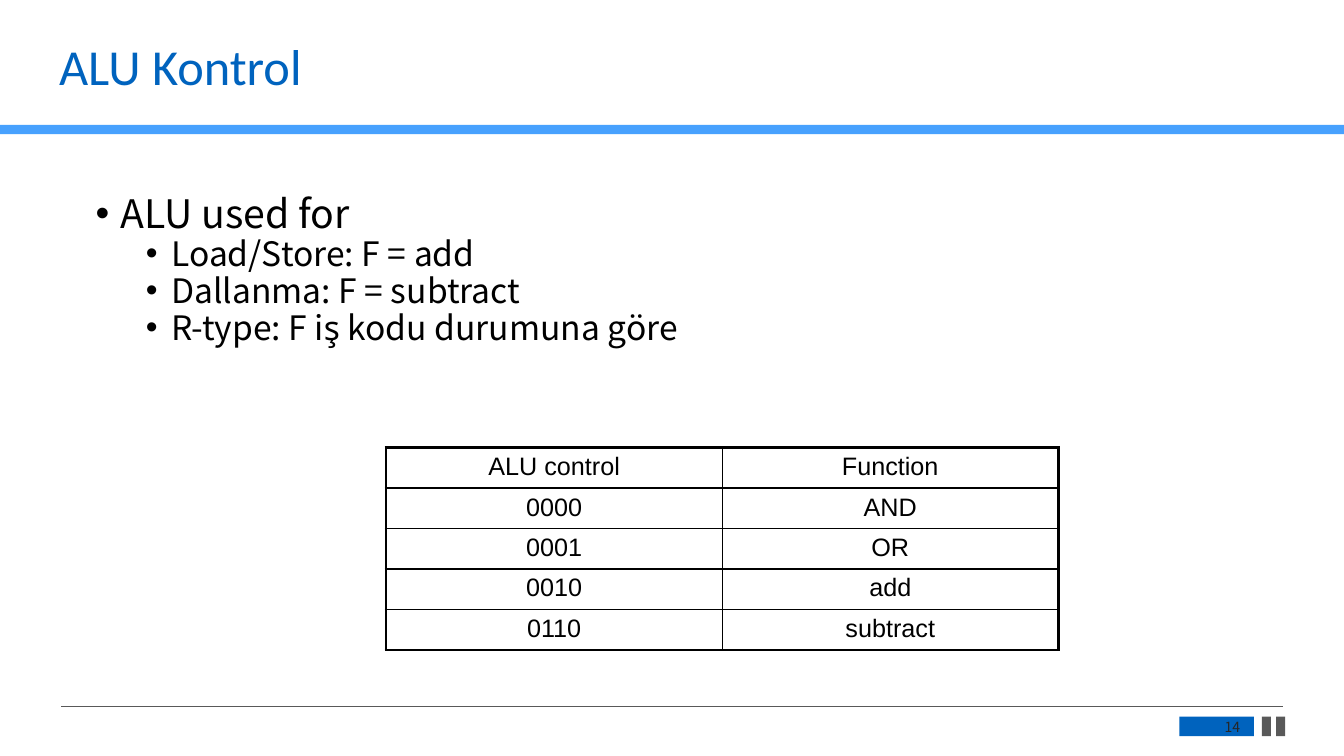
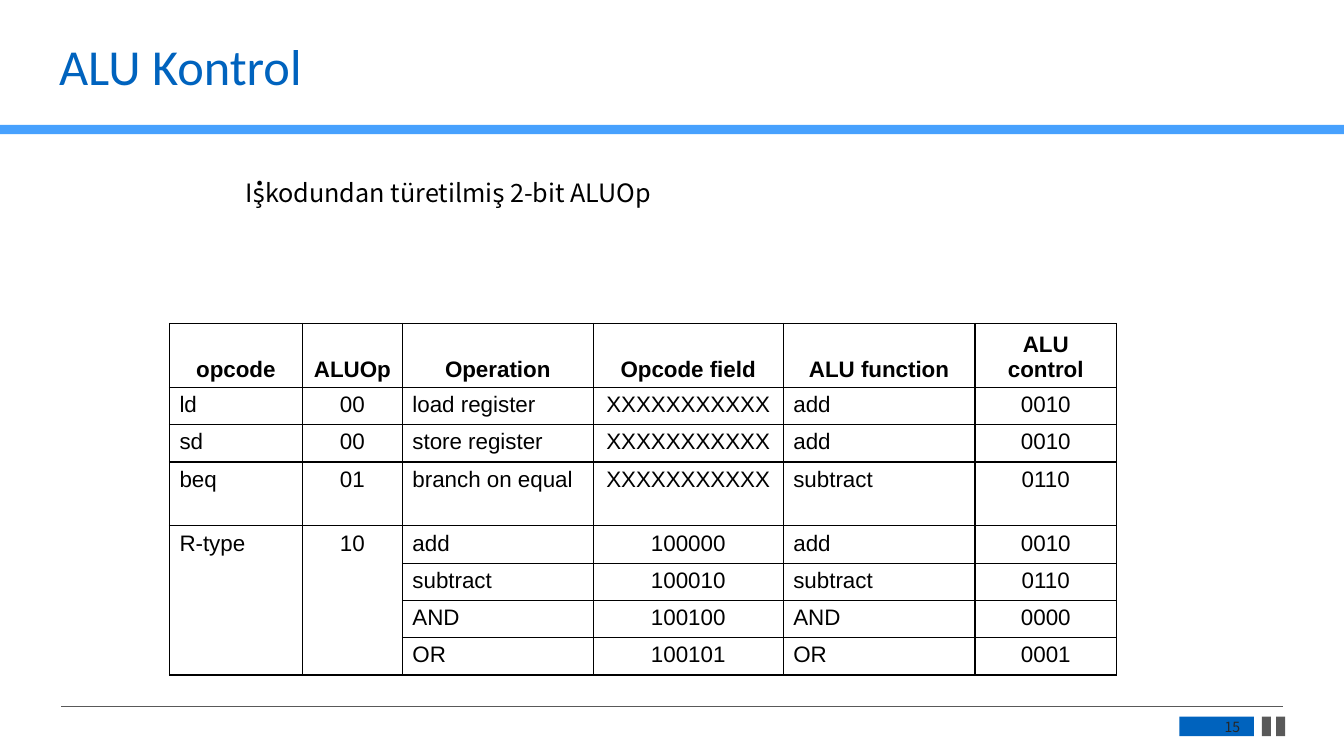
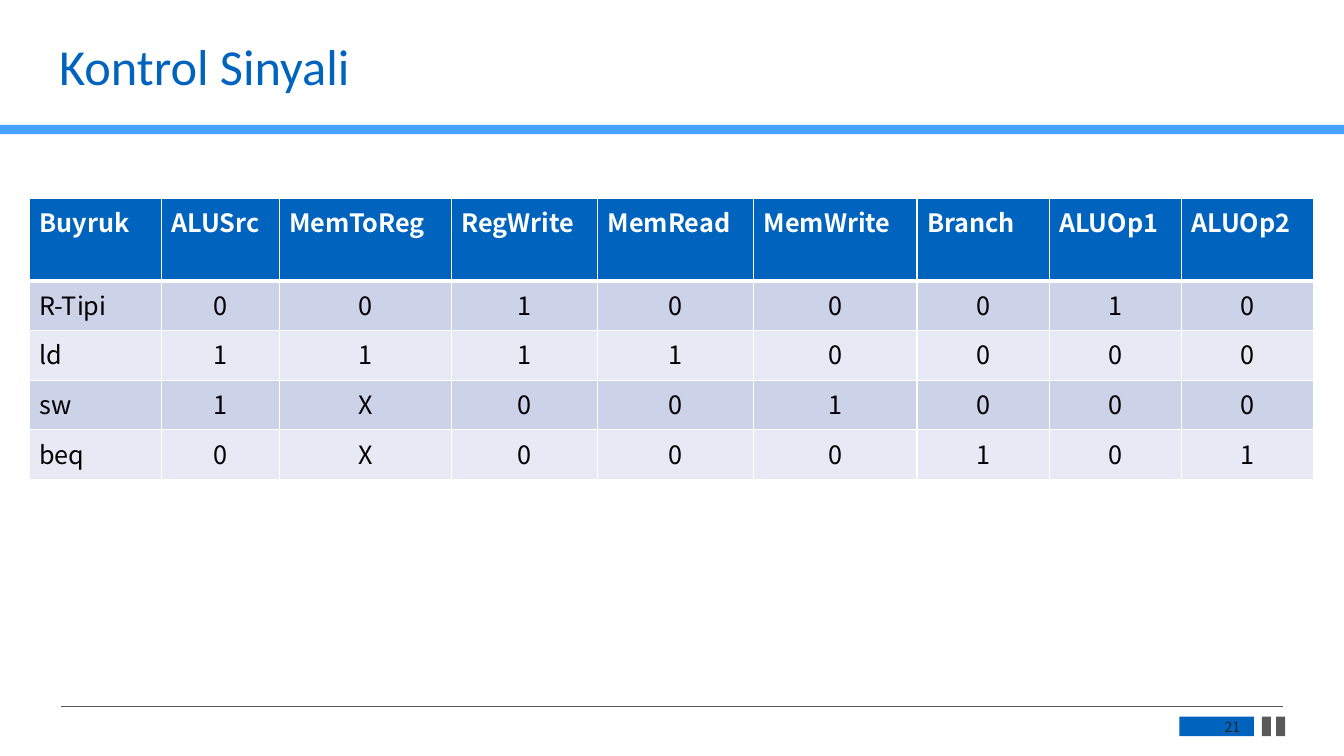
from pptx import Presentation
from pptx.dml.color import RGBColor
from pptx.enum.shapes import MSO_CONNECTOR, MSO_SHAPE
from pptx.enum.text import MSO_ANCHOR, PP_ALIGN
from pptx.oxml.ns import qn
from pptx.util import Cm, Pt
from lxml import etree

RECT, LINE = MSO_SHAPE.RECTANGLE, MSO_CONNECTOR.STRAIGHT
TOP, MID, LOW = MSO_ANCHOR.TOP, MSO_ANCHOR.MIDDLE, MSO_ANCHOR.BOTTOM
ALIGN = {"l": PP_ALIGN.LEFT, "c": PP_ALIGN.CENTER, "r": PP_ALIGN.RIGHT}

# Shared look
BLUE, SKY, GRAY, INK = "0063BE", "47A1FE", "595959", "262626"
BLACK, WHITE = "000000", "FFFFFF"
BANDS = ["CCD3E8", "E7EAF4"]
SANS, HEAD, BODY = "Arial", "Calibri", "Noto Sans CJK SC"
WIDTH, HEIGHT = 33.87, 19.05
BARS = [  # left, top, width, height in cm, colour
    (0, 3.15, WIDTH, 0.23, SKY),
    (29.72, 18.06, 1.88, 0.49, BLUE),
    (31.8, 18.06, 0.23, 0.49, GRAY),
    (32.16, 18.06, 0.23, 0.49, GRAY),
]
RULE = (1.54, 17.8, 32.33, 17.8)

# Content: bullets are (level, text)
USES = [
    (0, "ALU used for"),
    (1, "Load/Store: F = add"),
    (1, "Dallanma: F = subtract"),
    (1, "R-type: F iş kodu durumuna göre"),
]
NOTE = "İşkodundan türetilmiş 2-bit ALUOp"

CODES = dict(
    at=(9.73, 11.28), cols=[8.47] * 2, rows=[1.02] * 5,
    font=SANS, size=18, align="cc", top="cc", edge=2.25, under=1.5,
    data=[
        ("ALU control", "Function"),
        ("0000", "AND"),
        ("0001", "OR"),
        ("0010", "add"),
        ("0110", "subtract"),
    ])
OPS = dict(
    at=(4.27, 8.15), cols=[3.35, 2.52, 4.81, 4.79, 4.83, 3.57],
    rows=[1.61, 0.94, 0.94, 1.61] + [0.94] * 4,
    font=SANS, size=16, align="lclclc", top="cccccc", bold=True, anchor=LOW,
    merge=[(4, 0, 7, 0), (4, 1, 7, 1)],
    data=[
        ("opcode", "ALUOp", "Operation", "Opcode field", "ALU function", "ALU control"),
        ("ld", "00", "load register", "XXXXXXXXXXX", "add", "0010"),
        ("sd", "00", "store register", "XXXXXXXXXXX", "add", "0010"),
        ("beq", "01", "branch on equal", "XXXXXXXXXXX", "subtract", "0110"),
        ("R-type", "10", "add", "100000", "add", "0010"),
        ("", "", "subtract", "100010", "subtract", "0110"),
        ("", "", "AND", "100100", "AND", "0000"),
        ("", "", "OR", "100101", "OR", "0001"),
    ])
SIGNALS = dict(
    at=(0.74, 5), cols=[3.33, 2.97, 4.33, 3.69, 3.93, 4.12] + [3.33] * 3,
    rows=[2.08] + [1.25] * 4,
    font=BODY, size=18, align="lcccccccc", top="lllllllll", bold=True,
    line=WHITE, under=3, fills=[BLUE] + BANDS * 2, ink=WHITE,
    data=[
        ("Buyruk", "ALUSrc", "MemToReg", "RegWrite", "MemRead", "MemWrite",
         "Branch", "ALUOp1", "ALUOp2"),
        ("R-Tipi", *"00100010"),
        ("ld", *"11110000"),
        ("sw", *"1X001000"),
        ("beq", *"0X000101"),
    ])
SLIDES = [
    dict(title="ALU Kontrol", num="14", list=USES, table=CODES),
    dict(title="ALU Kontrol", num="15", table=OPS, note=NOTE),
    dict(title="Kontrol Sinyali", num="21", table=SIGNALS),
]


def rgb(code):
    return RGBColor.from_string(code)


def write(para, text, font, size, color=BLACK, bold=False, align="l"):
    para.alignment = ALIGN[align]
    run = para.add_run()
    run.text = text
    face = run.font
    face.name, face.size, face.bold = font, Pt(size), bold
    face.color.rgb = rgb(color)


def box(slide, area, anchor=TOP):
    frame = slide.shapes.add_textbox(*map(Cm, area)).text_frame
    frame.word_wrap = True
    frame.vertical_anchor = anchor
    return frame


def base(slide, title, num):
    # Bands, footer rule, title and number
    for *area, color in BARS:
        bar = slide.shapes.add_shape(RECT, *map(Cm, area))
        bar.shadow.inherit = False
        bar.fill.solid()
        bar.fill.fore_color.rgb = rgb(color)
        bar.line.fill.background()
    rule = slide.shapes.add_connector(LINE, *map(Cm, RULE))
    rule.line.color.rgb = rgb(GRAY)
    rule.line.width = Pt(0.5)
    etree.SubElement(rule.element.spPr, qn("a:effectLst"))
    para = box(slide, (1.24, 0.94, 30.94, 1.63)).paragraphs[0]
    para.line_spacing = 0.9
    write(para, title, HEAD, 36, BLUE)
    frame = box(slide, (29.82, 18.11, 1.68, 0.43), MID)
    write(frame.paragraphs[0], num, BODY, 10, INK, align="r")


def bullets(slide, items):
    frame = box(slide, (2.16, 4.9, 22.99, 6.6))
    for i, (level, text) in enumerate(items):
        para = frame.add_paragraph() if i else frame.paragraphs[0]
        para.level = level
        para.line_spacing = 0.78
        para.space_before = Pt(4 if i else 0)
        write(para, text, BODY, 28 - 4 * level)
        props = para._p.get_or_add_pPr()
        props.set("marL", str(Cm(0.64 + 1.27 * level)))
        props.set("indent", str(-Cm(0.64)))
        etree.SubElement(props, qn("a:buFont"), typeface=SANS)
        etree.SubElement(props, qn("a:buChar"), char="•")


def border(cell, color, widths):
    props = cell._tc.get_or_add_tcPr()
    for side, width in zip("LRTB", widths):
        line = etree.SubElement(props, qn("a:ln" + side), w=str(Pt(width)))
        fill = etree.SubElement(line, qn("a:solidFill"))
        etree.SubElement(fill, qn("a:srgbClr"), val=color)


def grid(slide, at, cols, rows, data, font, size, align, top, bold=False,
         anchor=TOP, line=BLACK, edge=1, under=1, fills=None, ink=BLACK, merge=()):
    area = (*at, sum(cols), sum(rows))
    table = slide.shapes.add_table(len(rows), len(cols), *map(Cm, area)).table
    table.first_row = table.horz_banding = False
    for col, width in zip(table.columns, cols):
        col.width = Cm(width)
    for row, height in zip(table.rows, rows):
        row.height = Cm(height)
    for r1, c1, r2, c2 in merge:
        table.cell(r1, c1).merge(table.cell(r2, c2))
    last = len(cols) - 1
    for r, texts in enumerate(data):
        first = r == 0
        for c, text in enumerate(texts):
            cell = table.cell(r, c)
            border(cell, line, (edge if c == 0 else 1, edge if c == last else 1,
                                edge if first else under if r == 1 else 1,
                                under if first else 1))
            if fills:
                cell.fill.solid()
                cell.fill.fore_color.rgb = rgb(fills[r])
            else:
                cell.fill.background()
            cell.vertical_anchor = anchor if first else TOP
            if text:
                write(cell.text_frame.paragraphs[0], text, font, size,
                      ink if first else BLACK, bold and first,
                      (top if first else align)[c])


def main():
    deck = Presentation()
    deck.slide_width, deck.slide_height = Cm(WIDTH), Cm(HEIGHT)
    for page in SLIDES:
        slide = deck.slides.add_slide(deck.slide_layouts[6])
        base(slide, page["title"], page["num"])
        if "list" in page:
            bullets(slide, page["list"])
        grid(slide, **page["table"])
        if "note" in page:
            frame = box(slide, (5.94, 4.34, 16.92, 1.02))
            write(frame.paragraphs[0], page["note"], BODY, 18)
    deck.save("out.pptx")


if __name__ == "__main__":
    main()
